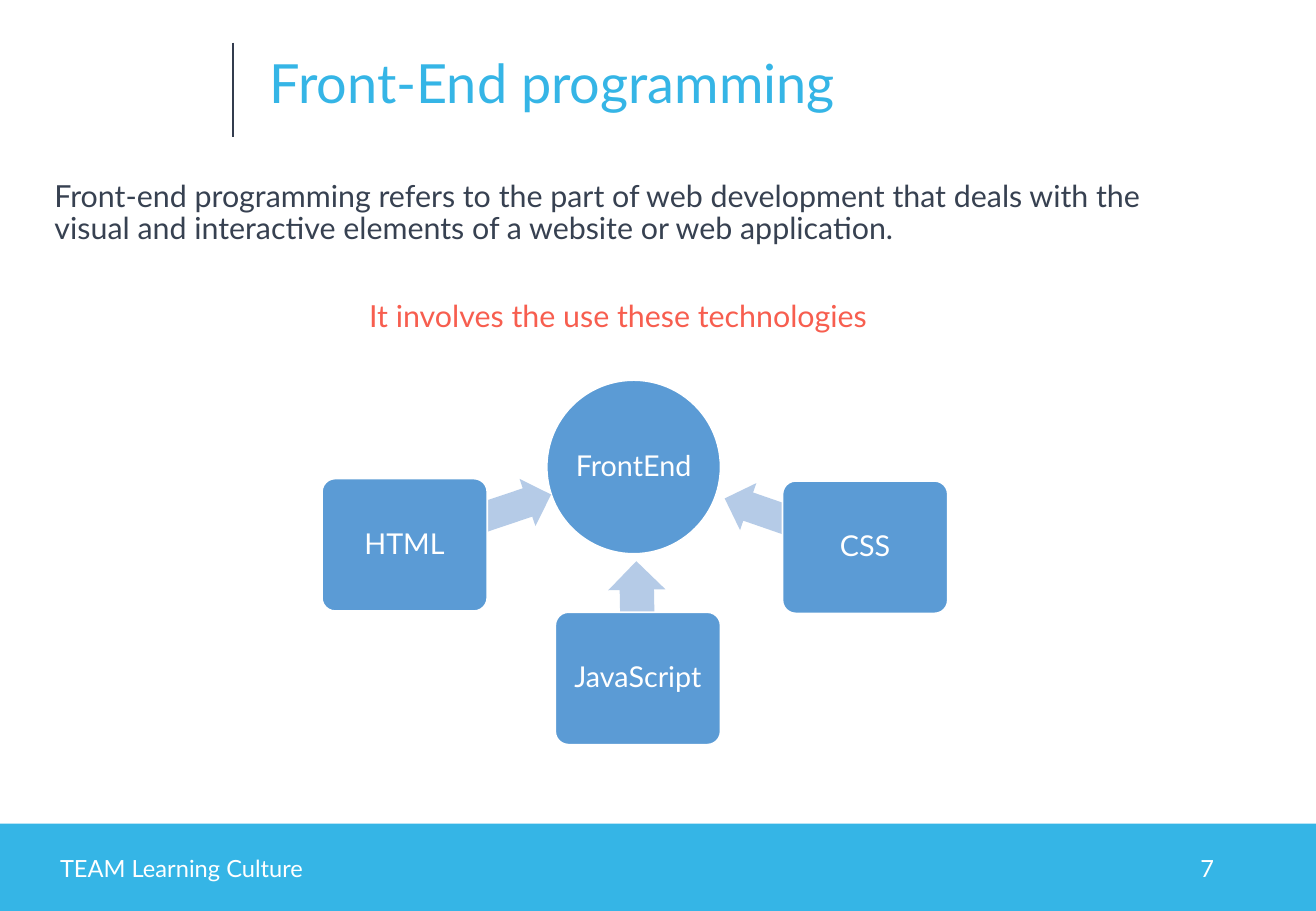
import pptx
import pptx.util
import pptx.dml.color
import pptx.enum.shapes
import pptx.enum.text
import pptx.oxml

PX = 9144
FONT = "Lato"
COLORS = {
    "band": "35B5E6",
    "rule": "333C4E",
    "body": "374151",
    "accent": "F75E4F",
    "node": "5B9BD5",
    "arrow": "B5CBE7",
    "white": "FFFFFF",
}
SHAPE = pptx.enum.shapes.MSO_SHAPE
ALIGN = pptx.enum.text.PP_ALIGN
ANCHOR = pptx.enum.text.MSO_ANCHOR


def px(*values):
    return [pptx.util.Emu(v * PX) for v in values]


def rgb(name):
    return pptx.dml.color.RGBColor.from_string(COLORS[name])


def write(sp, text, size, color, align=ALIGN.LEFT, anchor=ANCHOR.TOP,
          spacing=1.0, insets=(10, 5)):
    tf = sp.text_frame
    tf.word_wrap = True
    tf.vertical_anchor = anchor
    tf.margin_left = tf.margin_right = px(insets[0])[0]
    tf.margin_top = tf.margin_bottom = px(insets[1])[0]
    p = tf.paragraphs[0]
    p.alignment = align
    p.line_spacing = spacing
    r = p.add_run()
    r.text = text
    r.font.name = FONT
    r.font.size = pptx.util.Pt(size)
    r.font.color.rgb = rgb(color)


def add_text(s, x, y, w, h, text, size, color, **style):
    write(s.shapes.add_textbox(*px(x, y, w, h)), text, size, color, **style)


def add_solid(s, kind, x, y, w, h, fill, line=None):
    sp = s.shapes.add_shape(kind, *px(x, y, w, h))
    sp.shadow.inherit = False
    sp.fill.solid()
    sp.fill.fore_color.rgb = rgb(fill)
    if line:
        sp.line.color.rgb = rgb(line)
        sp.line.width = pptx.util.Pt(1)
    else:
        sp.line.fill.background()
    return sp


def add_header(s, x, y, w, h):
    rule = s.shapes.add_connector(
        pptx.enum.shapes.MSO_CONNECTOR.STRAIGHT, *px(x, y, x, y + h))
    rule.line.color.rgb = rgb("rule")
    rule.line.width = pptx.util.Pt(1)
    rule._element.spPr.append(pptx.oxml.parse_xml(
        '<a:effectLst xmlns:a='
        '"http://schemas.openxmlformats.org/drawingml/2006/main"/>'))
    add_text(s, x + 30, y + 13, w - 30, 46, "Front-End programming", 32, "band",
             anchor=ANCHOR.MIDDLE, spacing=0.9, insets=(0, 0))


def add_intro(s, x, y, w, h):
    add_text(s, x, y, w, h,
             "Front-end programming refers to the part of web development that "
             "deals with the visual and interactive elements of a website or "
             "web application.", 18, "body", spacing=0.9)
    add_text(s, x + 259, y + 96, 520, 40,
             "It involves the use these technologies", 18, "accent")


def add_node(s, kind, x, y, w, h, label, inset):
    sp = add_solid(s, kind, x, y, w, h, "node", "white")
    if kind == SHAPE.ROUNDED_RECTANGLE:
        sp.adjustments[0] = 0.1
    write(sp, label, 17, "white", align=ALIGN.CENTER, anchor=ANCHOR.MIDDLE,
          spacing=0.9, insets=(inset, inset))


def add_diagram(s, x, y, w, h):
    node_w, node_h, hub = 136, 109, 143
    add_node(s, SHAPE.OVAL, x + 185, y, hub, hub, "FrontEnd", 1)
    technologies = [
        ("HTML", 0, 81, (58, 95, 134, 41), 161.4),
        ("JavaScript", 192, h - node_h, (212, 173, 95, 47), 89),
        ("CSS", w - node_w, 83, (328, 97, 123, 41), 19.1),
    ]
    for label, left, top, (ax, ay, aw, ah), angle in technologies:
        arrow = add_solid(s, SHAPE.LEFT_ARROW, x + ax, y + ay, aw, ah, "arrow")
        arrow.adjustments[0] = 0.6
        arrow.adjustments[1] = 0.5
        arrow.rotation = angle
        add_node(s, SHAPE.ROUNDED_RECTANGLE, x + left, y + top,
                 node_w, node_h, label, 4)


def add_footer(s, x, y, w, h):
    add_solid(s, SHAPE.RECTANGLE, x, y, w, h, "band")
    add_text(s, x + 19, y + 17, 261, 40, "TEAM Learning Culture", 14, "white",
             align=ALIGN.CENTER, anchor=ANCHOR.MIDDLE)
    add_text(s, x + w - 318, y + 17, 244, 40, "7", 14, "white",
             align=ALIGN.RIGHT, anchor=ANCHOR.MIDDLE)


def main():
    prs = pptx.Presentation()
    prs.slide_width, prs.slide_height = px(1083, 750)
    s = prs.slides.add_slide(prs.slide_layouts[6])
    add_footer(s, 0, 678, 1083, 72)
    add_header(s, 192, 35, 669, 78)
    add_intro(s, 35, 144, 981, 130)
    add_diagram(s, 265, 313, 515, 300)
    prs.save("out.pptx")


if __name__ == "__main__":
    main()
